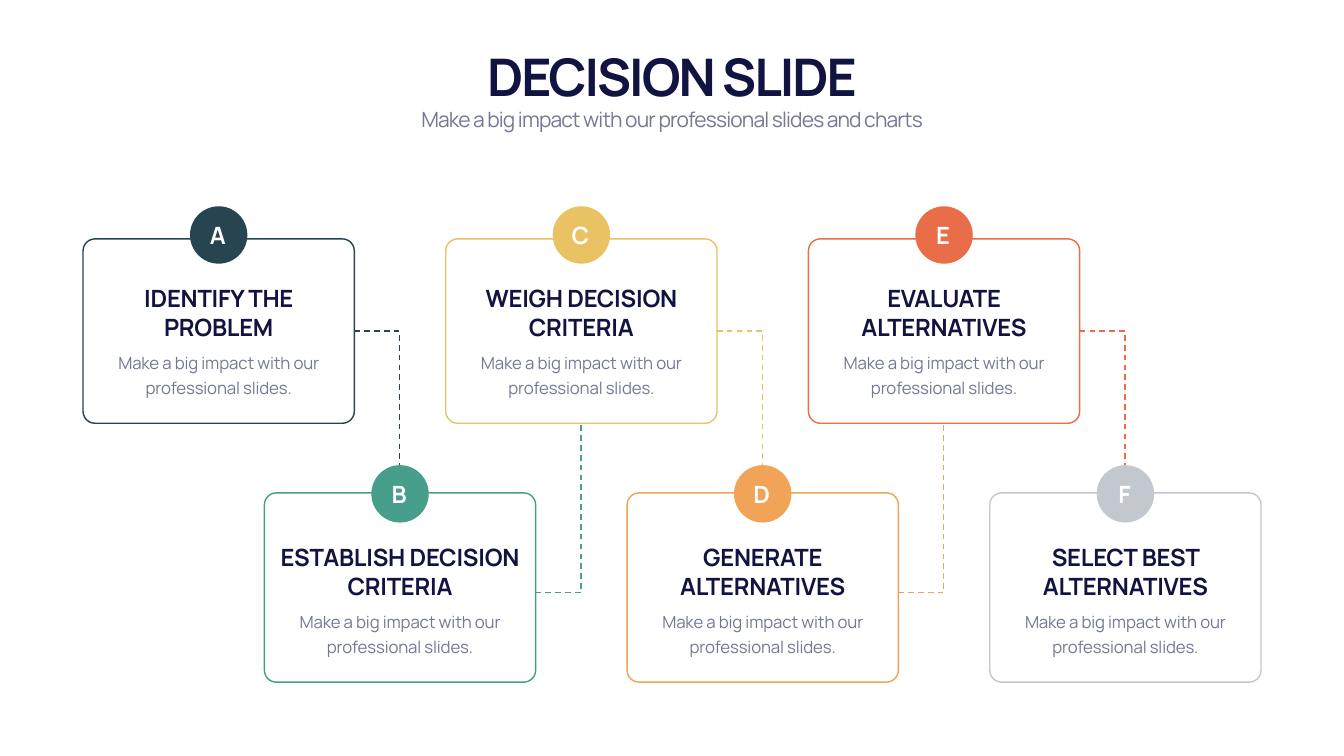
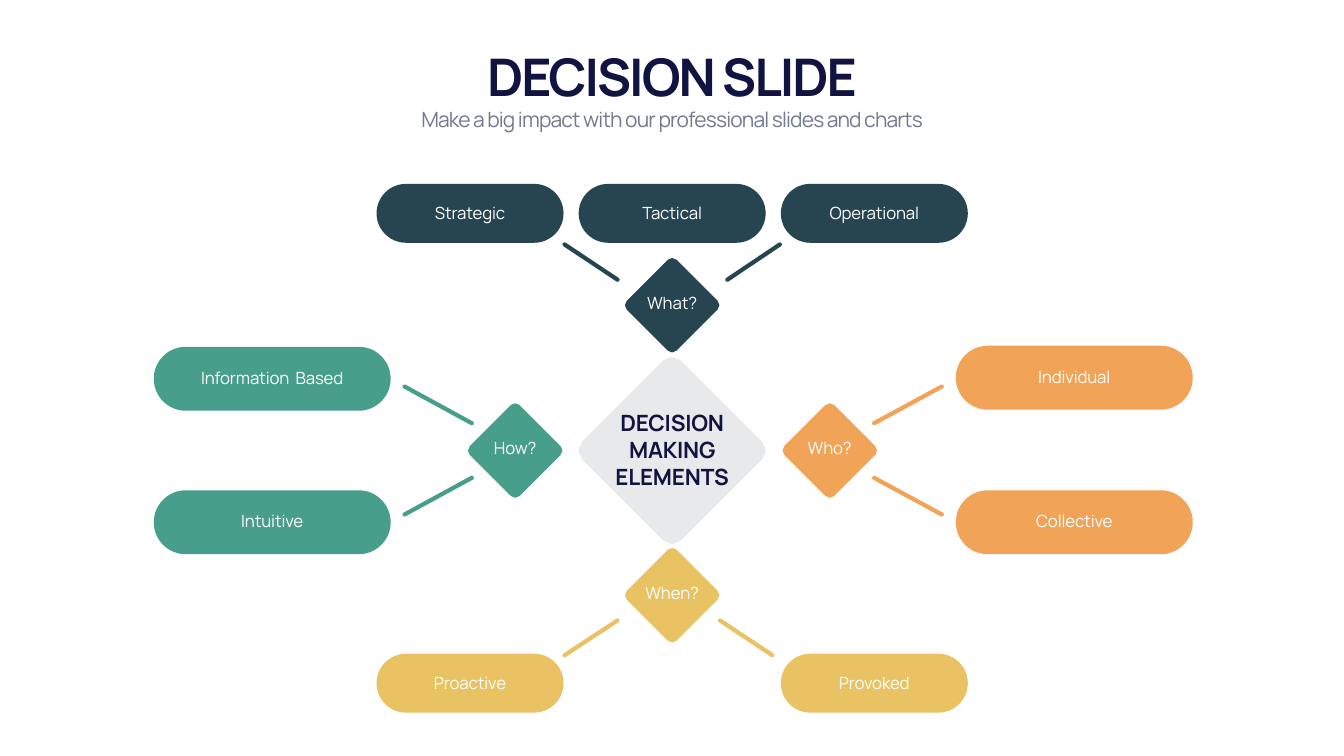
from math import cos, radians, sin

from lxml import etree
from pptx import Presentation
from pptx.dml.color import RGBColor
from pptx.enum.dml import MSO_LINE
from pptx.enum.shapes import MSO_CONNECTOR, MSO_SHAPE
from pptx.enum.text import MSO_ANCHOR, MSO_AUTO_SIZE, PP_ALIGN
from pptx.oxml.ns import qn
from pptx.util import Pt

ROUNDED, OVAL = MSO_SHAPE.ROUNDED_RECTANGLE, MSO_SHAPE.OVAL
STRAIGHT, DASH = MSO_CONNECTOR.STRAIGHT, MSO_LINE.DASH
TOP, MIDDLE, BOTTOM = MSO_ANCHOR.TOP, MSO_ANCHOR.MIDDLE, MSO_ANCHOR.BOTTOM
CENTER, GROW = PP_ALIGN.CENTER, MSO_AUTO_SIZE.SHAPE_TO_FIT_TEXT

W, H = 1919.52, 1080
COLORS = {
    "ink": "111340", "grey": "747993", "white": "FFFFFF",
    "navy": "264551", "green": "479E8B", "yellow": "E9C363",
    "orange": "F1A357", "red": "E86D48", "silver": "C3C8CE",
}
# Text styles: font attributes, colour, letter spacing, anchor
STYLES = {
    "title": ({"size": Pt(74), "bold": True}, "ink", -2.9, BOTTOM),
    "subtitle": ({"size": Pt(30), "bold": False}, "grey", -1.2, TOP),
    "heading": ({"size": Pt(34), "bold": True}, "ink", -0.3, BOTTOM),
    "body": ({"size": Pt(24), "bold": False}, "grey", -0.2, TOP),
    "badge": ({"size": Pt(34), "bold": True}, "white", -2.9, MIDDLE),
    "core": ({"size": Pt(32), "bold": True}, "ink", -0.3, MIDDLE),
    "label": ({"size": Pt(24), "bold": False}, "white", -0.2, MIDDLE),
}


def rgb(name):
    return RGBColor.from_string(COLORS[name])


def pts(*values):
    return [Pt(v) for v in values]


def around(cx, cy, w, h):
    """Box of the given size centred on a point."""
    return cx - w / 2, cy - h / 2, w, h


def write(sp, text, style, spacing=None):
    font, color, tracking, anchor = STYLES[style]
    tf = sp.text_frame
    for key, value in {"word_wrap": True, "auto_size": GROW,
                       "vertical_anchor": anchor,
                       "margin_left": Pt(7.2), "margin_right": Pt(7.2),
                       "margin_top": Pt(3.6), "margin_bottom": Pt(3.6)}.items():
        setattr(tf, key, value)
    p = tf.paragraphs[0]
    p.alignment = CENTER
    if spacing:
        p.line_spacing = Pt(spacing)
    r = p.add_run()
    r.text = text
    for key, value in {"name": "Manrope", **font}.items():
        setattr(r.font, key, value)
    r.font.color.rgb = rgb(color)
    r._r.get_or_add_rPr().set("spc", str(round(tracking * 100)))


def add_text(s, box, text, style, spacing=None):
    write(s.shapes.add_textbox(*pts(*box)), text, style, spacing)


def paint(sp, fill=None, line=None, width=2):
    sp.shadow.inherit = False
    if fill:
        sp.fill.solid()
        sp.fill.fore_color.rgb = rgb(fill)
    else:
        sp.fill.background()
    if line:
        sp.line.color.rgb = rgb(line)
        sp.line.width = Pt(width)
    else:
        sp.line.fill.background()
    return sp


def add_outline(s, points, close):
    (x, y), *rest = [pts(*point) for point in points]
    fb = s.shapes.build_freeform(x, y)
    fb.add_line_segments(rest, close=close)
    return fb.convert_to_shape()


def add_rounded(s, box, radius, **look):
    sp = s.shapes.add_shape(ROUNDED, *pts(*box))
    sp.adjustments[0] = radius / min(box[2:])
    return paint(sp, **look)


def add_diamond(s, box, fill):
    """Diamond with softened tips that fills a square box."""
    x, y, w, h = box
    half = w / 2
    radius = half * 0.13
    points = []
    for tip in range(0, 360, 90):
        cx = x + half + (half - radius) * cos(radians(tip))
        cy = y + half + (half - radius) * sin(radians(tip))
        points += [(cx + radius * cos(radians(a)), cy + radius * sin(radians(a)))
                   for a in (tip - 45, tip, tip + 45)]
    return paint(add_outline(s, points, True), fill=fill)


def add_link(s, start, end, color):
    c = s.shapes.add_connector(STRAIGHT, *pts(*start, *end))
    c.line.color.rgb = rgb(color)
    c.line.width = Pt(6)
    c.line._get_or_add_ln().set("cap", "rnd")
    etree.SubElement(c._element.spPr, qn("a:effectLst"))


def add_slide(prs, title, subtitle):
    s = prs.slides.add_slide(prs.slide_layouts[5])
    s.background.fill.solid()
    s.background.fill.fore_color.rgb = rgb("white")
    sp = s.shapes.title
    sp.left, sp.top, sp.width, sp.height = pts(119.8, 59, 1680, 97.2)
    write(sp, title, "title")
    add_text(s, (119.8, 149, 1680, 43.9), subtitle, "subtitle")
    return s


# Slide 1: lettered cards in two staggered rows
CARD_W, CARD_H, BADGE = 387.4, 310, 82
STEP, REACH = 259, 64.8
UPPER_Y, LOWER_Y = 294.7, 664.5


def add_card(s, box, rise, letter, heading, body, color):
    """Card whose badge starts at the box top, rise points above the frame."""
    x, y, w, h = box
    mid = x + w / 2
    add_rounded(s, (x, y + rise, w, h - rise), 17, line=color)
    paint(s.shapes.add_shape(OVAL, *pts(mid - BADGE / 2, y, BADGE, BADGE)),
          fill=color)
    add_text(s, (mid - 37.3, y + 16.8, 72, 48.2), letter, "badge")
    add_text(s, (x + 8.3, y + 106.3, w - 16.6, 90), heading, "heading")
    add_text(s, (x + 8.3, y + 198.3, w - 16.6, 78.5), body, "body", 36)


def add_elbow(s, box, color, up):
    """Dashed path from the left of the box, turning up or down at its right."""
    x, y, w, h = box
    start, end = (y + h, y) if up else (y, y + h)
    sp = add_outline(s, [(x, start), (x + w, start), (x + w, end)], False)
    paint(sp, line=color).line.dash_style = DASH


def cards_slide(prs, subtitle):
    s = add_slide(prs, "DECISION SLIDE", subtitle)
    cards = [
        ("IDENTIFY THE PROBLEM", "navy"),
        ("ESTABLISH DECISION CRITERIA", "green"),
        ("WEIGH DECISION CRITERIA", "yellow"),
        ("GENERATE ALTERNATIVES", "orange"),
        ("EVALUATE ALTERNATIVES", "red"),
        ("SELECT BEST ALTERNATIVES", "silver"),
    ]
    for i, (heading, color) in enumerate(cards):
        low = i % 2 == 1
        x, y = 118.6 + i * STEP, LOWER_Y if low else UPPER_Y
        add_card(s, (x, y, CARD_W, CARD_H), 39.6 if low else 46.6, "ABCDEF"[i],
                 heading, "Make a big impact with our professional slides.", color)
        if i < len(cards) - 1:
            top, height = (UPPER_Y + CARD_H, 242) if low else (473, 193)
            add_elbow(s, (x + CARD_W, top, REACH, height), color, low)


# Slide 2: question diamonds around a core, each with its answers
def add_branch(s, box, label, color, pill_size, lift, pills, links):
    """Diamond in the box; pills and links are offsets from its centre."""
    x, y, w, h = box
    cx, cy = x + w / 2, y + h / 2
    add_diamond(s, box, color)
    add_text(s, around(cx, cy - 3.2, 105.8, 36), label, "label")
    for text, dx, dy in pills:
        add_rounded(s, around(cx + dx, cy + dy, *pill_size), pill_size[1] / 2,
                    fill=color)
        add_text(s, around(cx + dx, cy + dy - lift, 252, 36), text, "label")
    for x1, y1, x2, y2 in links:
        add_link(s, (cx + x1, cy + y1), (cx + x2, cy + y2), color)


def elements_slide(prs, subtitle):
    s = add_slide(prs, "DECISION SLIDE", subtitle)
    cx, cy = 960, 643.6

    # Core
    core = add_diamond(s, around(cx, cy, 267.8, 267.8), "silver")
    color = core.fill._xPr.find(".//" + qn("a:srgbClr"))
    etree.SubElement(color, qn("a:alpha"), val="40000")
    add_text(s, around(cx, cy - 1.5, 187.2, 123.8), "DECISION MAKING ELEMENTS",
             "core")

    # Branches: label, colour, diamond offset, pill size, text lift, pills, links
    short, wide = (267.1, 84.2), (338.4, 91.4)
    branches = [
        ("What?", "navy", (0, -207.6), short, 0.3,
         [("Strategic", -288.7, -131.2), ("Tactical", 0, -131.2),
          ("Operational", 288.7, -131.2)],
         [(-78, -36.4, -153.7, -86.8), (78.8, -36.4, 153.8, -86.8)]),
        ("When?", "yellow", (0, 206.7), short, 0,
         [("Proactive", -288.7, 125.7), ("Provoked", 288.7, 125.7)],
         [(-78, 36, -153.6, 85.7), (68.2, 36, 143.1, 85.7)]),
        ("How?", "green", (-224.2, 0), wide, 1.9,
         [("Information  Based", -347, -102.5), ("Intuitive", -347, 102.5)],
         [(-62, -39, -158, -91.4), (-62, 39, -158, 91.4)]),
        ("Who?", "orange", (225.1, 0), wide, 1.7,
         [("Individual", 349.2, -104), ("Collective", 349.2, 102.5)],
         [(63.4, -39, 160, -91.4), (63.4, 39, 160, 91.4)]),
    ]
    for label, color, (dx, dy), size, lift, pills, links in branches:
        add_branch(s, around(cx + dx, cy + dy, 135, 135), label, color, size,
                   lift, pills, links)


prs = Presentation()
prs.slide_width, prs.slide_height = pts(W, H)
SUBTITLE = "Make a big impact with our professional slides and charts"
cards_slide(prs, SUBTITLE)
elements_slide(prs, SUBTITLE)
prs.save("out.pptx")
